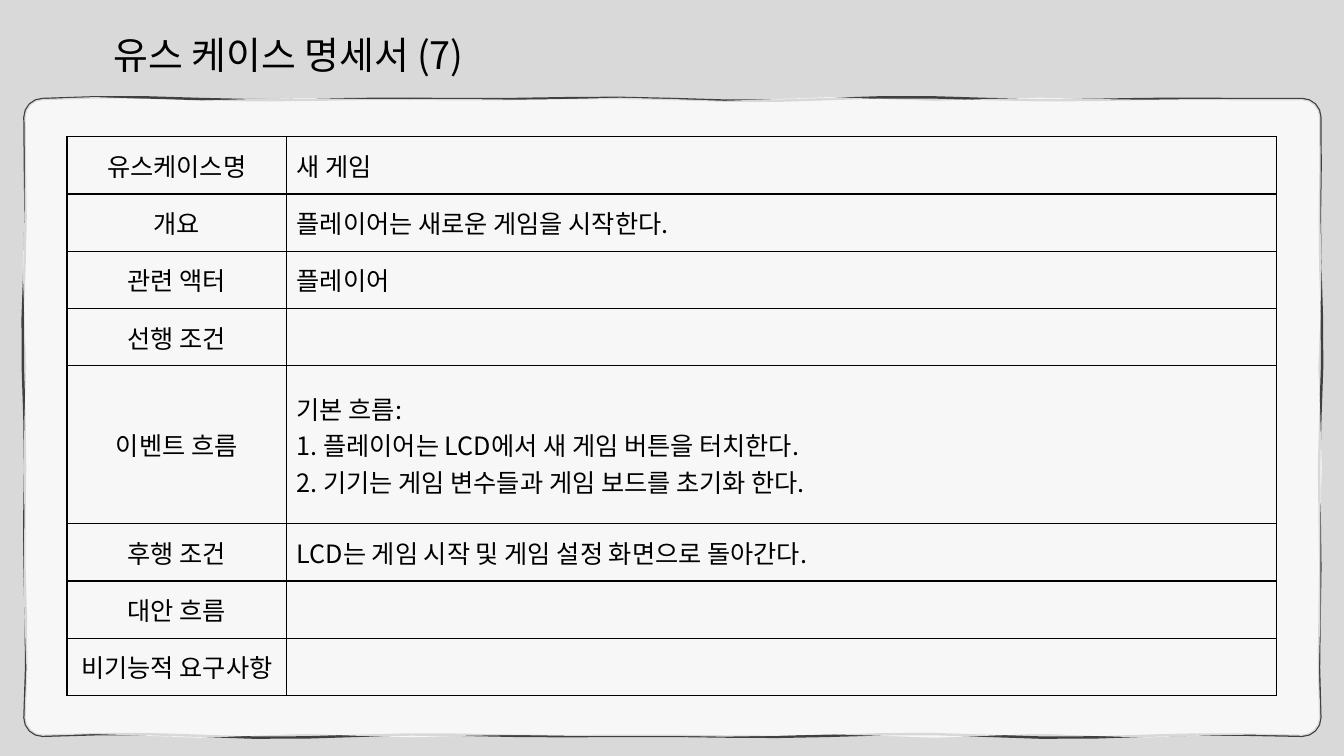
from copy import deepcopy
from dataclasses import dataclass
from math import cos, pi, radians, sin

from pptx import Presentation
from pptx.dml.color import RGBColor
from pptx.enum.text import MSO_ANCHOR, MSO_AUTO_SIZE, PP_ALIGN
from pptx.oxml.ns import qn
from pptx.util import Emu, Inches, Pt
from lxml import etree

MIDDLE = MSO_ANCHOR.MIDDLE
FIXED = MSO_AUTO_SIZE.NONE
LEFT, CENTER = PP_ALIGN.LEFT, PP_ALIGN.CENTER

WIDE, HIGH = Inches(13.33), Inches(7.5)
FONT = "Noto Sans CJK KR"
COLORS = {"back": "D9D9D9", "card": "FFFFFF", "edge": "404040", "ink": "000000"}
BEND = Inches(0.18)
SWAY = Inches(0.02)
STEPS = (24, 12)


@dataclass
class Box:
    left: float
    top: float
    width: float
    height: float

    def place(self) -> tuple[Emu, Emu, Emu, Emu]:
        return across(self.left), down(self.top), across(self.width), down(self.height)


@dataclass
class Row:
    label: str
    lines: tuple[str, ...] = ("",)
    height: float = 7.57


TITLE = Box(7.7, 3.47, 33.75, 7.47)
CARD = Box(1.82, 13.1, 96.42, 84.23)
GRID = Box(4.98, 18.1, 90, 73.89)
COLS = (16.35, 73.65)
ROWS = (
    Row("유스케이스명", ("새 게임",)),
    Row("개요", ("플레이어는 새로운 게임을 시작한다.",)),
    Row("관련 액터", ("플레이어",)),
    Row("선행 조건"),
    Row("이벤트 흐름", (
        "기본 흐름:",
        "1. 플레이어는 LCD에서 새 게임 버튼을 터치한다.",
        "2. 기기는 게임 변수들과 게임 보드를 초기화 한다.",
    ), 20.9),
    Row("후행 조건", ("LCD는 게임 시작 및 게임 설정 화면으로 돌아간다.",)),
    Row("대안 흐름"),
    Row("비기능적 요구사항"),
)


def across(share: float) -> Emu:
    return Emu(round(WIDE * share / 100))


def down(share: float) -> Emu:
    return Emu(round(HIGH * share / 100))


def color(name: str) -> RGBColor:
    return RGBColor.from_string(COLORS[name])


def write(frame, lines: tuple[str, ...], size: float, align: PP_ALIGN) -> None:
    frame.text = "\n".join(lines)
    for para in frame.paragraphs:
        para.alignment = align
        font = para.font
        font.size = Pt(size)
        font.color.rgb = color("ink")
        font.name = FONT


def border(cell) -> None:
    props = cell._tc.get_or_add_tcPr()
    for side in ("lnL", "lnR", "lnT", "lnB"):
        line = etree.SubElement(props, qn(f"a:{side}"), w=str(Pt(1)))
        fill = etree.SubElement(line, qn("a:solidFill"))
        etree.SubElement(fill, qn("a:srgbClr"), val=COLORS["ink"])


def outline(box: Box, waves: int) -> list[tuple[float, float]]:
    x, y, w, h = box.place()
    left, right = x + BEND, x + w - BEND
    top, base = y + BEND, y + h - BEND
    hubs = ((left, top), (right, top), (right, base), (left, base))
    points = []
    for side, (cx, cy) in enumerate(hubs):
        for step in range(5):
            turn = radians(180 + 90 * side + 22.5 * step)
            points.append((cx + BEND * cos(turn), cy + BEND * sin(turn)))
        nx, ny = hubs[(side + 1) % 4]
        count = STEPS[side % 2]
        for step in range(1, count):
            part = step / count
            swing = sin(pi * waves * part * count / STEPS[0])
            reach = BEND + SWAY * swing * cos(5 * part + side)
            points.append((
                cx + (nx - cx) * part + reach * cos(turn),
                cy + (ny - cy) * part + reach * sin(turn),
            ))
    return points


def draw_card(slide) -> None:
    edge, face = outline(CARD, 8), outline(CARD, 12)
    form = slide.shapes.build_freeform(*edge[0])
    form.add_line_segments(edge[1:], close=True)
    form.move_to(*face[0])
    form.add_line_segments(face[1:], close=True)
    card = form.convert_to_shape()
    card.shadow.inherit = False
    card.line.color.rgb = color("edge")
    card.line.width = Pt(1.75)
    card.fill.solid()
    card.fill.fore_color.rgb = color("card")
    props = card._element.spPr
    tone = props.find(f"{qn('a:solidFill')}/{qn('a:srgbClr')}")
    etree.SubElement(tone, qn("a:alpha"), val="80000")

    trace = props.find(f".//{qn('a:path')}")
    plain = deepcopy(trace)
    trace.addnext(plain)
    trace.set("fill", "none")
    plain.set("stroke", "0")
    half = len(trace) // 2
    del trace[half:]
    del plain[:half]


def draw_title(slide) -> None:
    title = slide.shapes.title
    title.left, title.top, title.width, title.height = TITLE.place()
    frame = title.text_frame
    frame.word_wrap = True
    frame.auto_size = FIXED
    frame.vertical_anchor = MIDDLE
    write(frame, ("유스 케이스 명세서 (7)",), 27, LEFT)


def draw_table(slide) -> None:
    table = slide.shapes.add_table(len(ROWS), len(COLS), *GRID.place()).table
    table.first_row = table.horz_banding = False
    for col, share in zip(table.columns, COLS):
        col.width = across(share)
    for line, row in zip(table.rows, ROWS):
        line.height = down(row.height)
        parts = ((row.label,), CENTER), (row.lines, LEFT)
        for cell, (lines, align) in zip(line.cells, parts):
            border(cell)
            cell.fill.background()
            cell.vertical_anchor = MIDDLE
            write(cell.text_frame, lines, 18, align)


def main() -> None:
    deck = Presentation()
    deck.slide_width, deck.slide_height = WIDE, HIGH
    slide = deck.slides.add_slide(deck.slide_layouts[5])
    back = slide.background.fill
    back.solid()
    back.fore_color.rgb = color("back")
    draw_card(slide)
    draw_title(slide)
    draw_table(slide)
    deck.save("out.pptx")


if __name__ == "__main__":
    main()
